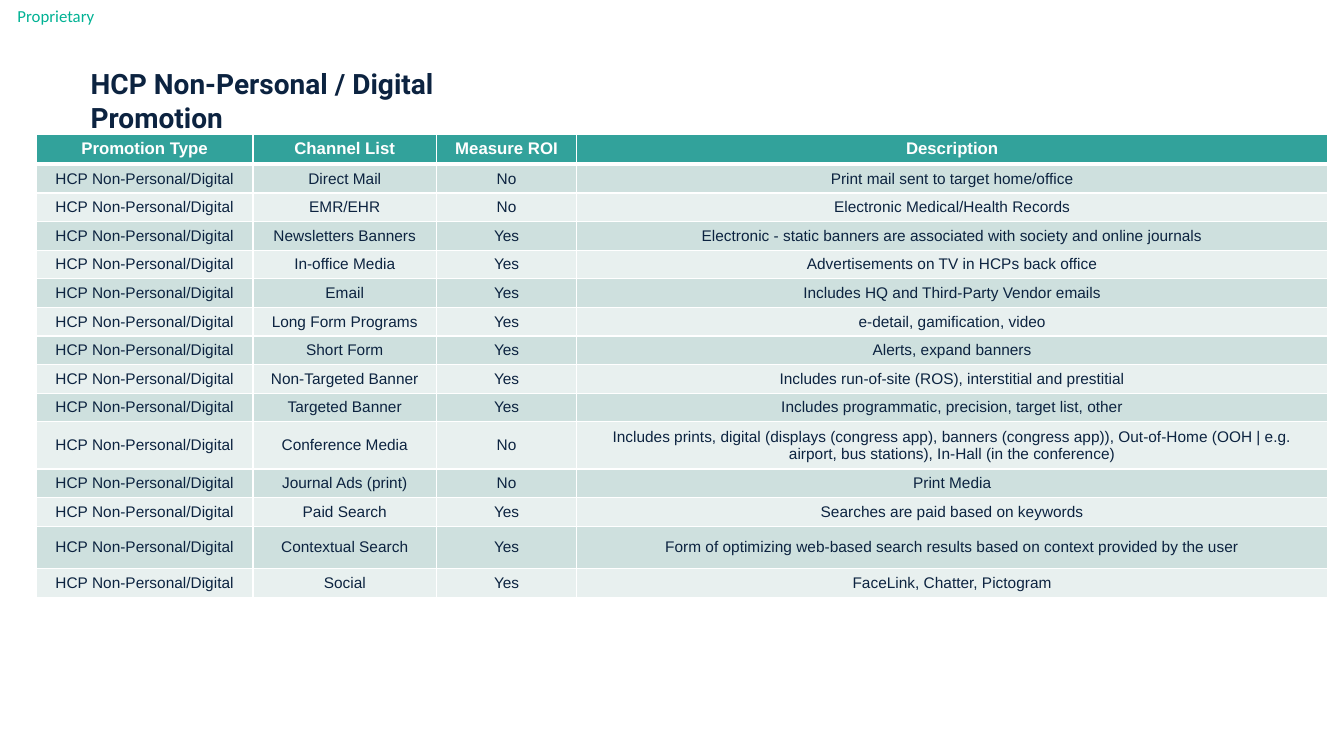
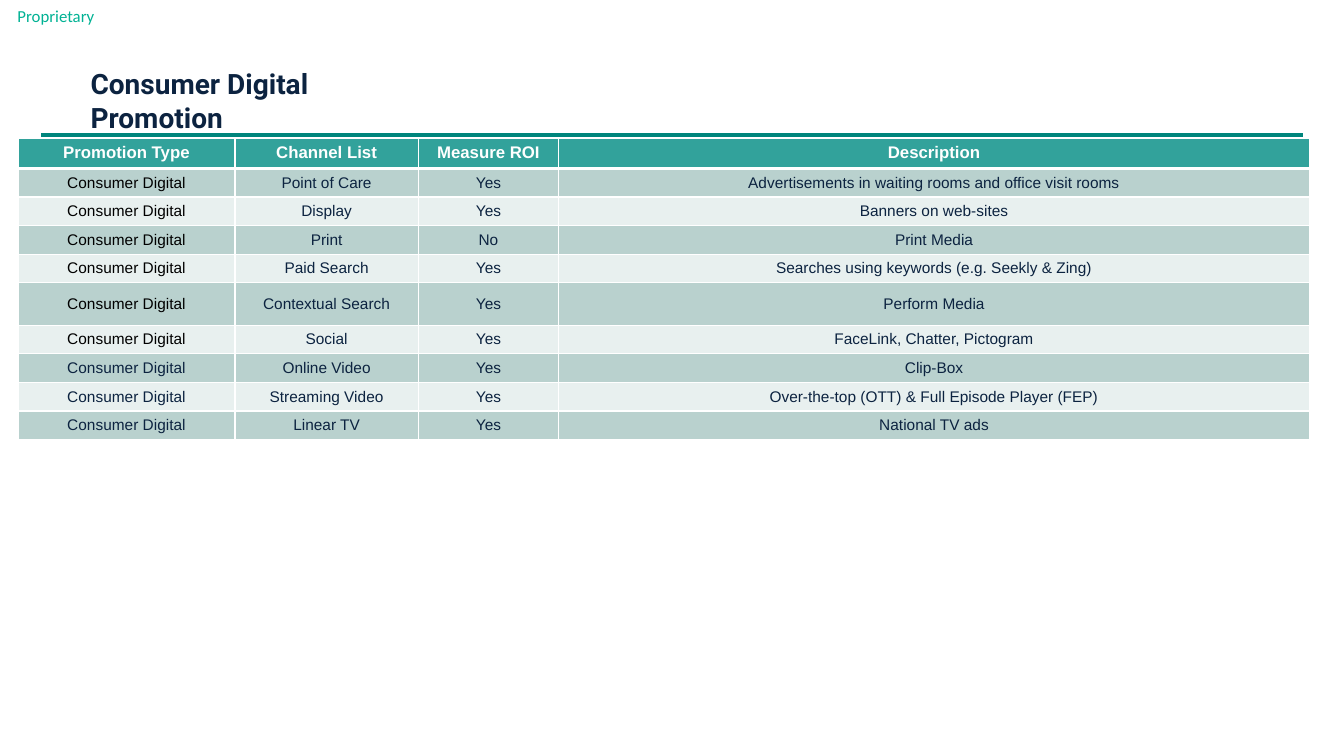
from lxml import etree
from pptx import Presentation
from pptx import util as u
from pptx.dml.color import RGBColor
from pptx.enum import shapes, text
from pptx.oxml import ns

# Shared look
NAVY, BLACK, WHITE = "0C2340", "000000", "FFFFFF"
TEAL, HEADER, LABEL = "00857C", "32A29B", "00B294"
LIGHT_BAND, MIDDLE_BAND, DARK_BAND = "E8F0EF", "CEE0DE", "B9D1CE"
HEADINGS = ("Promotion Type", "Channel List", "Measure ROI", "Description")
COLUMN_WIDTHS = (2.15, 1.82, 1.39, 7.45)
HEADER_HEIGHT, ROW_HEIGHT, TALL_HEIGHT = 0.28, 0.27, 0.42
TALL_CHANNELS = ("Conference Media", "Contextual Search")
SOCIAL_SITES = "FaceLink, Chatter, Pictogram"

# Channel, measure ROI, description
HCP_CHANNELS = [
    ("Direct Mail", "No", "Print mail sent to target home/office"),
    ("EMR/EHR", "No", "Electronic Medical/Health Records"),
    ("Newsletters Banners", "Yes",
     "Electronic - static banners are associated with society and online journals"),
    ("In-office Media", "Yes", "Advertisements on TV in HCPs back office"),
    ("Email", "Yes", "Includes HQ and Third-Party Vendor emails"),
    ("Long Form Programs", "Yes", "e-detail, gamification, video"),
    ("Short Form", "Yes", "Alerts, expand banners"),
    ("Non-Targeted Banner", "Yes", "Includes run-of-site (ROS), interstitial and prestitial"),
    ("Targeted Banner", "Yes", "Includes programmatic, precision, target list, other"),
    ("Conference Media", "No",
     "Includes prints, digital (displays (congress app), banners (congress app)), "
     "Out-of-Home (OOH | e.g. airport, bus stations), In-Hall (in the conference)"),
    ("Journal Ads (print)", "No", "Print Media"),
    ("Paid Search", "Yes", "Searches are paid based on keywords"),
    ("Contextual Search", "Yes",
     "Form of optimizing web-based search results based on context provided by the user"),
    ("Social", "Yes", SOCIAL_SITES),
]
CONSUMER_CHANNELS = [
    ("Point of Care", "Yes", "Advertisements in waiting rooms and office visit rooms"),
    ("Display", "Yes", "Banners on web-sites"),
    ("Print", "No", "Print Media"),
    ("Paid Search", "Yes", "Searches using keywords (e.g. Seekly & Zing)"),
    ("Contextual Search", "Yes", "Perform Media"),
    ("Social", "Yes", SOCIAL_SITES),
    ("Online Video", "Yes", "Clip-Box"),
    ("Streaming Video", "Yes", "Over-the-top (OTT) & Full Episode Player (FEP)"),
    ("Linear TV", "Yes", "National TV ads"),
]


def rgb(value):
    return RGBColor.from_string(value)


def write(frame, content, size, font_name, color, bold=False, align=text.PP_ALIGN.LEFT):
    paragraph = frame.paragraphs[0]
    paragraph.alignment = align
    run = paragraph.add_run()
    run.text = content
    run.font.size = u.Pt(size)
    run.font.name = font_name
    run.font.bold = bold
    run.font.color.rgb = rgb(color)


def add_text_box(slide, left, top, width, height):
    box = slide.shapes.add_textbox(*map(u.Inches, (left, top, width, height)))
    box.text_frame.word_wrap = True
    return box.text_frame


def add_frame(slide, title, title_width):
    """Rule, confidentiality label and title."""
    rule = slide.shapes.add_connector(
        shapes.MSO_CONNECTOR.STRAIGHT, *map(u.Inches, (0.41, 1.34, 12.92, 1.34)))
    rule.line.color.rgb = rgb(TEAL)
    rule.line.width = u.Pt(2.5)
    etree.SubElement(rule._element.spPr, ns.qn("a:effectLst"))

    label = add_text_box(slide, 0, 0, 1.11, 0.32)
    label.margin_left = label.margin_right = label.margin_top = label.margin_bottom = 0
    label.vertical_anchor = text.MSO_ANCHOR.MIDDLE
    write(label, "Proprietary", 12, "Calibri", LABEL, align=text.PP_ALIGN.CENTER)

    write(add_text_box(slide, 0.8, 0.61, title_width, 0.44),
          title, 20, "Roboto", NAVY, bold=True)


def set_borders(cell, top, bottom):
    properties = cell._tc.get_or_add_tcPr()
    for side, points in (("L", 1), ("R", 1), ("T", top), ("B", bottom)):
        line = etree.SubElement(properties, ns.qn(f"a:ln{side}"), w=str(u.Pt(points)))
        fill = etree.SubElement(line, ns.qn("a:solidFill"))
        etree.SubElement(fill, ns.qn("a:srgbClr"), val=WHITE)


def fill_cell(cell, content, fill, size, color, bold, top, bottom):
    set_borders(cell, top, bottom)
    cell.fill.solid()
    cell.fill.fore_color.rgb = rgb(fill)
    write(cell.text_frame, content, size, "Arial", color, bold, text.PP_ALIGN.CENTER)


def add_channel_table(slide, left, top, promotion, channels, band, black_labels=0):
    """Banded table; the first black_labels promotion types are black."""
    heights = [HEADER_HEIGHT] + [
        TALL_HEIGHT if channel[0] in TALL_CHANNELS else ROW_HEIGHT for channel in channels]
    table = slide.shapes.add_table(
        len(heights), len(HEADINGS), u.Inches(left), u.Inches(top),
        u.Inches(sum(COLUMN_WIDTHS)), u.Inches(sum(heights))).table
    for column, width in zip(table.columns, COLUMN_WIDTHS):
        column.width = u.Inches(width)
    for row, height in zip(table.rows, heights):
        row.height = u.Inches(height)

    for column, heading in enumerate(HEADINGS):
        fill_cell(table.cell(0, column), heading, HEADER, 12, WHITE, True, 1, 3)
    for row, channel in enumerate(channels, start=1):
        fill = band if row % 2 else LIGHT_BAND
        for column, content in enumerate((promotion, *channel)):
            cell = table.cell(row, column)
            color = BLACK if column == 0 and row <= black_labels else NAVY
            fill_cell(cell, content, fill, 11, color, False, 3 if row == 1 else 1, 1)
            cell.vertical_anchor = text.MSO_ANCHOR.MIDDLE


def main():
    presentation = Presentation()
    presentation.slide_width = u.Inches(13.33)
    presentation.slide_height = u.Inches(7.5)
    blank = presentation.slide_layouts[6]

    # HCP channels
    slide = presentation.slides.add_slide(blank)
    add_frame(slide, "HCP Non-Personal / Digital Promotion", 4.61)
    add_channel_table(slide, 0.36, 1.33, "HCP Non-Personal/Digital", HCP_CHANNELS, MIDDLE_BAND)

    # Consumer channels
    slide = presentation.slides.add_slide(blank)
    add_frame(slide, "Consumer Digital Promotion", 3.5)
    add_channel_table(slide, 0.18, 1.37, "Consumer Digital", CONSUMER_CHANNELS, DARK_BAND,
                      black_labels=6)

    presentation.save("out.pptx")


if __name__ == "__main__":
    main()
